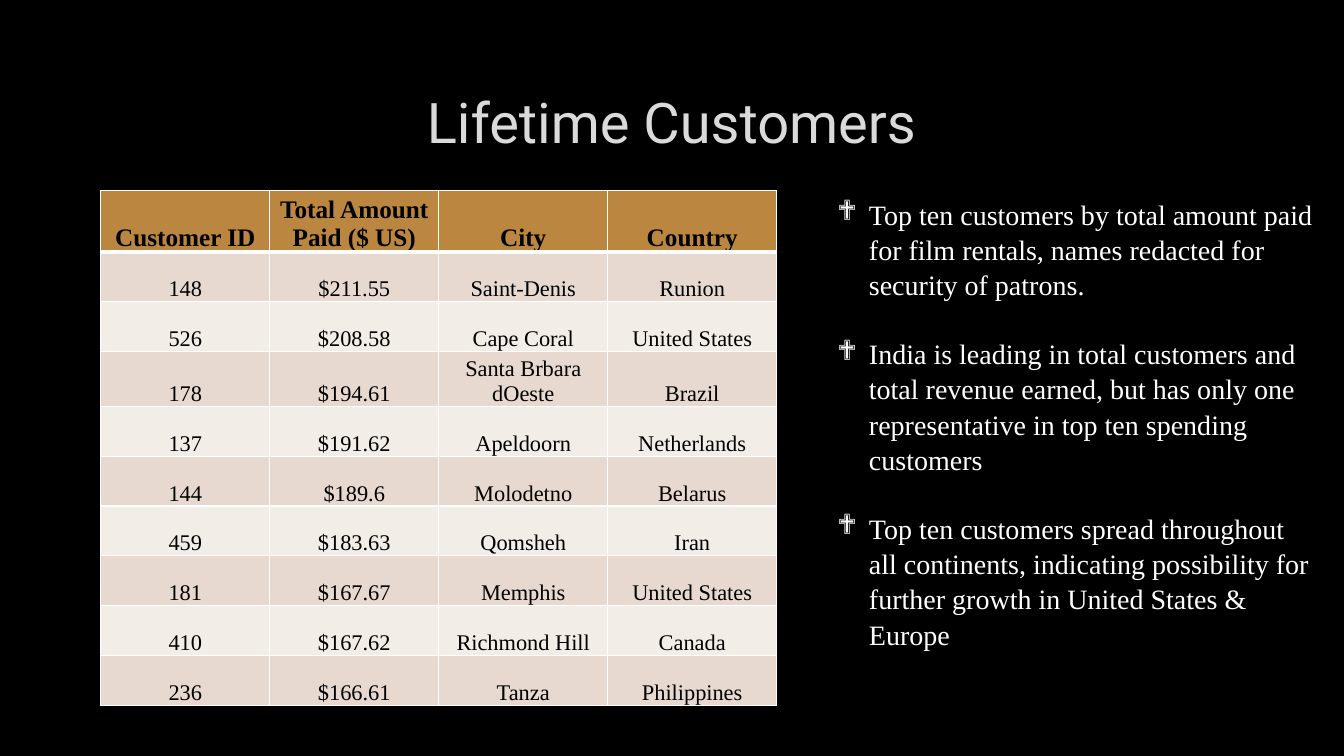
from dataclasses import dataclass

from lxml import etree
from pptx import Presentation
from pptx.dml.color import RGBColor
from pptx.enum.text import MSO_ANCHOR, PP_ALIGN
from pptx.oxml.ns import qn
from pptx.slide import Slide
from pptx.table import _Cell
from pptx.text.text import TextFrame, _Paragraph, _Run
from pptx.util import Pt

CENTER, LEFT = PP_ALIGN.CENTER, PP_ALIGN.LEFT
MIDDLE, BOTTOM, TOP = MSO_ANCHOR.MIDDLE, MSO_ANCHOR.BOTTOM, MSO_ANCHOR.TOP

COLORS = {
    "background": "000000",
    "title": "DADADA",
    "title_outline": "404040",
    "header": "BB8640",
    "odd_row": "E7D9CF",
    "even_row": "F3EDE8",
    "cell_text": "000000",
    "border": "FFFFFF",
    "finding": "FFFFFF",
}
SERIF = "Times New Roman"
COLUMN_WIDTH, HEADER_HEIGHT, ROW_HEIGHT = 120.7, 39, 35.6


@dataclass(frozen=True)
class Box:
    left: float
    top: float
    width: float
    height: float


@dataclass(frozen=True)
class Customer:
    number: str
    paid: str
    city: str
    country: str


HEADINGS = ("Customer ID", "Total Amount Paid ($ US)", "City", "Country")
CUSTOMERS = (
    Customer("148", "$211.55", "Saint-Denis", "Runion"),
    Customer("526", "$208.58", "Cape Coral", "United States"),
    Customer("178", "$194.61", "Santa Brbara dOeste", "Brazil"),
    Customer("137", "$191.62", "Apeldoorn", "Netherlands"),
    Customer("144", "$189.6", "Molodetno", "Belarus"),
    Customer("459", "$183.63", "Qomsheh", "Iran"),
    Customer("181", "$167.67", "Memphis", "United States"),
    Customer("410", "$167.62", "Richmond Hill", "Canada"),
    Customer("236", "$166.61", "Tanza", "Philippines"),
)
FINDINGS = (
    "Top ten customers by total amount paid for film rentals, names redacted "
    "for security of patrons.",
    "India is leading in total customers and total revenue earned, but has only "
    "one representative in top ten spending customers",
    "Top ten customers spread throughout all continents, indicating possibility "
    "for further growth in United States & Europe",
)


def rgb(name: str) -> RGBColor:
    return RGBColor.from_string(COLORS[name])


def write(paragraph: _Paragraph, text: str, *, size: float, color: str,
          font: str = SERIF, bold: bool = False, align: PP_ALIGN = LEFT) -> _Run:
    paragraph.alignment = align
    run = paragraph.add_run()
    run.text = text
    run.font.name = font
    run.font.size = Pt(size)
    run.font.bold = bold
    run.font.color.rgb = rgb(color)
    return run


def add_text_frame(slide: Slide, box: Box, anchor: MSO_ANCHOR) -> TextFrame:
    frame = slide.shapes.add_textbox(
        Pt(box.left), Pt(box.top), Pt(box.width), Pt(box.height)).text_frame
    frame.word_wrap = True
    frame.vertical_anchor = anchor
    return frame


def add_solid_fill(parent: etree._Element, color: str) -> etree._Element:
    fill = etree.SubElement(parent, qn("a:solidFill"))
    return etree.SubElement(fill, qn("a:srgbClr"), val=COLORS[color])


def outline_title(run: _Run) -> None:
    """Give the title letters a faint, mostly transparent outline."""
    line = etree.Element(qn("a:ln"), w=str(Pt(0.75)))
    tint = add_solid_fill(line, "title_outline")
    etree.SubElement(tint, qn("a:alpha"), val="10000")
    run.font._element.insert(0, line)


def add_bullet(paragraph: _Paragraph, indent: float) -> None:
    properties = paragraph._p.get_or_add_pPr()
    properties.set("marL", str(Pt(indent)))
    properties.set("indent", str(-Pt(indent)))
    etree.SubElement(properties, qn("a:buFont"), typeface="Wingdings")
    etree.SubElement(properties, qn("a:buChar"), char="❖")


def set_borders(cell: _Cell, widths: dict[str, float]) -> None:
    properties = cell._tc.get_or_add_tcPr()
    for position, (side, width) in enumerate(widths.items()):
        line = etree.Element(qn(f"a:ln{side}"), w=str(Pt(width)))
        add_solid_fill(line, "border")
        properties.insert(position, line)


def fill_cell(cell: _Cell, text: str, row: int) -> None:
    is_header = row == 0
    cell.margin_left = cell.margin_top = cell.margin_right = Pt(0.7)
    cell.margin_bottom = Pt(0)
    cell.vertical_anchor = BOTTOM
    cell.fill.solid()
    cell.fill.fore_color.rgb = rgb(
        "header" if is_header else "odd_row" if row % 2 else "even_row")
    write(cell.text_frame.paragraphs[0], text, size=18 if is_header else 16,
          color="cell_text", bold=is_header, align=CENTER)
    set_borders(cell, {"L": 1, "R": 1, "T": 3 if row == 1 else 1,
                       "B": 3 if is_header else 1})


def add_customer_table(slide: Slide, left: float, top: float) -> None:
    rows = [HEADINGS] + [(c.number, c.paid, c.city, c.country) for c in CUSTOMERS]
    height = HEADER_HEIGHT + ROW_HEIGHT * len(CUSTOMERS)
    table = slide.shapes.add_table(
        len(rows), len(HEADINGS), Pt(left), Pt(top),
        Pt(COLUMN_WIDTH * len(HEADINGS)), Pt(height)).table
    for column in table.columns:
        column.width = Pt(COLUMN_WIDTH)
    for row, texts in enumerate(rows):
        table.rows[row].height = Pt(ROW_HEIGHT if row else HEADER_HEIGHT)
        for column, text in enumerate(texts):
            fill_cell(table.cell(row, column), text, row)


def add_findings(slide: Slide, box: Box) -> None:
    frame = add_text_frame(slide, box, TOP)
    for index, finding in enumerate(FINDINGS):
        paragraph = frame.add_paragraph() if index else frame.paragraphs[0]
        write(paragraph, finding, size=20, color="finding")
        paragraph.line_spacing = 1.05
        paragraph.space_before = Pt(24 if index else 0)
        add_bullet(paragraph, 22.5)


def main() -> None:
    presentation = Presentation()
    presentation.slide_width, presentation.slide_height = Pt(960), Pt(540)
    slide = presentation.slides.add_slide(presentation.slide_layouts[6])
    slide.background.fill.solid()
    slide.background.fill.fore_color.rgb = rgb("background")

    title = add_text_frame(slide, Box(72, 48.2, 815, 76.3), MIDDLE)
    outline_title(write(title.paragraphs[0], "Lifetime Customers", size=40,
                        color="title", font="Roboto", align=CENTER))
    add_customer_table(slide, 72, 136.1)
    add_findings(slide, Box(591.1, 136.1, 355.7, 322.6))
    presentation.save("out.pptx")


if __name__ == "__main__":
    main()
